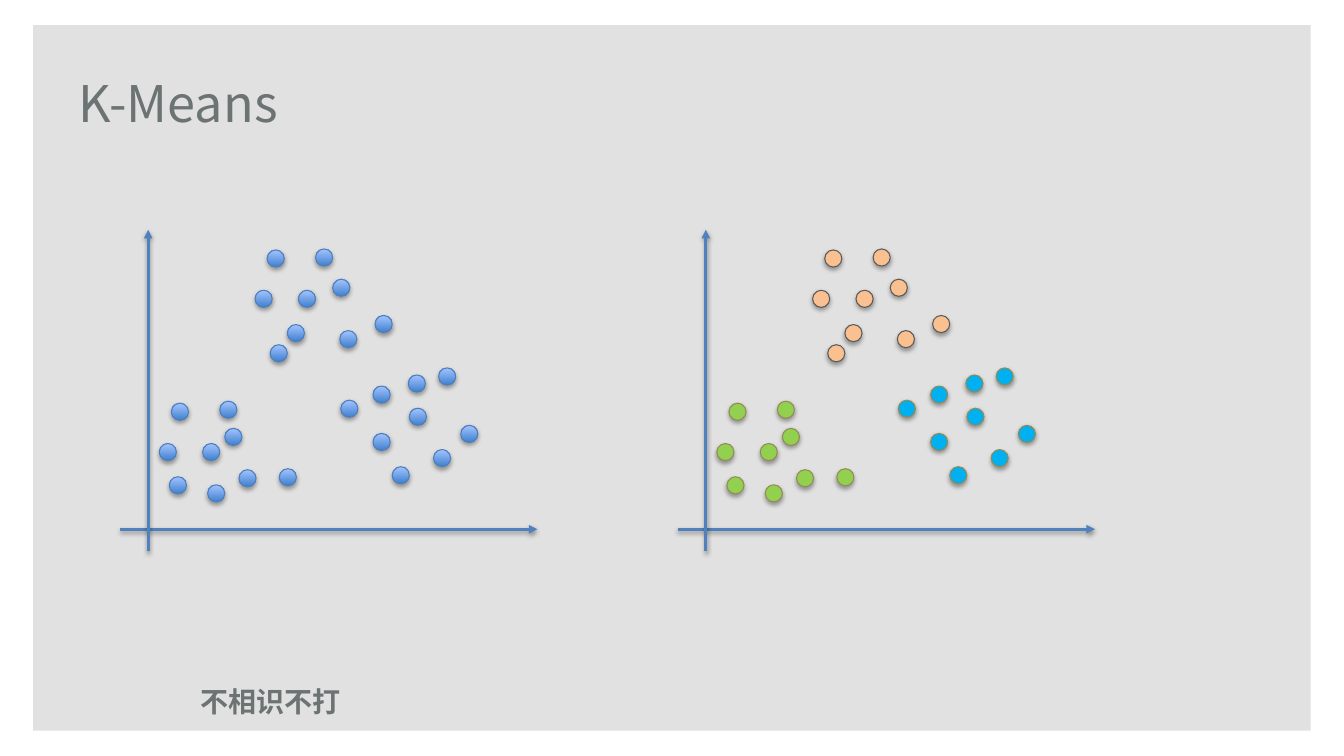
from lxml.etree import SubElement as Sub
from pptx import Presentation
from pptx.dml.color import RGBColor
from pptx.enum.shapes import MSO_CONNECTOR as Link, MSO_SHAPE as Form
from pptx.enum.text import MSO_ANCHOR as Anchor
from pptx.oxml.ns import qn
from pptx.util import Pt

PX = 9144  # EMU, 100 px to the inch
DOT = 17
FONT = "Noto Sans CJK SC"

PANEL = RGBColor(0xE1, 0xE1, 0xE1)
INK = RGBColor(0x6C, 0x73, 0x73)
AXIS = RGBColor(0x4F, 0x81, 0xBD)
DEEP = RGBColor(0x3F, 0x80, 0xCE)
PALE = RGBColor(0xA4, 0xC4, 0xFF)
RIM = RGBColor(0x4B, 0x7E, 0xBC)
PEACH = RGBColor(0xFA, 0xC0, 0x90)
GREY = RGBColor(0x59, 0x59, 0x59)
GREEN = RGBColor(0x92, 0xD0, 0x50)
OLIVE = RGBColor(0x94, 0x8A, 0x54)
SKY = RGBColor(0x00, 0xB0, 0xF0)

# Dots of each cluster, from the left end of the x axis and the slide top
TOP = [(134, 288), (166, 322), (149, 342), (146, 248), (177, 288),
       (194, 247), (211, 277), (218, 328), (253, 313)]
LEFT = [(39, 440), (49, 473), (87, 481), (51, 400), (82, 440),
        (99, 398), (104, 425), (118, 466), (158, 465)]
RIGHT = [(219, 397), (251, 430), (270, 463), (251, 383), (287, 405),
         (316, 365), (286, 372), (311, 446), (338, 422)]

BLUE = ((DEEP, PALE), RIM)
BEFORE = [(TOP, BLUE), (LEFT, BLUE), (RIGHT, BLUE)]
AFTER = [(TOP, ((PEACH,), GREY)), (LEFT, ((GREEN,), OLIVE)),
         (RIGHT, ((SKY,), OLIVE))]


def scale(*sizes):
    return [size * PX for size in sizes]


def style(item, form):
    for name, value in form.items():
        setattr(item, name, value)


def shade(item, drop, alpha):
    """Give the item a soft shadow straight below; call after its line is set."""
    effect = Sub(item._element.spPr, qn("a:effectLst"))
    shadow = Sub(effect, qn("a:outerShdw"), blurRad="40000", dist=str(drop),
                 dir="5400000", rotWithShape="0")
    color = Sub(shadow, qn("a:srgbClr"), val="000000")
    Sub(color, qn("a:alpha"), val=str(alpha * 1000))


def add_panel(slide):
    panel = slide.shapes.add_shape(Form.RECTANGLE, *scale(33, 25, 1267, 700))
    panel.shadow.inherit = False
    panel.fill.solid()
    panel.fill.fore_color.rgb = PANEL
    panel.line.fill.background()


def add_text(slide, text, box, form):
    frame = slide.shapes.add_textbox(*scale(*box)).text_frame
    style(frame, {"word_wrap": True, "vertical_anchor": Anchor.MIDDLE})
    run = frame.paragraphs[0].add_run()
    run.text = text
    style(run.font, {"name": FONT, **form})
    run.font.color.rgb = INK
    Sub(run.font._element, qn("a:ea"), typeface=FONT)


def add_axis(slide, start, end):
    axis = slide.shapes.add_connector(Link.STRAIGHT, *scale(*start, *end))
    axis.line.color.rgb = AXIS
    axis.line.width = Pt(2)
    Sub(axis._element.spPr.find(qn("a:ln")), qn("a:tailEnd"), type="triangle")
    shade(axis, 20000, 38)


def add_dot(slide, x, y, tones, rim):
    """Draw one data point; two tones make a gradient from bottom to top."""
    dot = slide.shapes.add_shape(Form.OVAL, *scale(x, y, DOT, DOT))
    if len(tones) == 1:
        dot.fill.solid()
        dot.fill.fore_color.rgb = tones[0]
    else:
        dot.fill.gradient()
        dot.fill.gradient_angle = 90
        for stop, tone in zip(dot.fill.gradient_stops, tones):
            stop.color.rgb = tone
    dot.line.color.rgb = rim
    dot.line.width = Pt(0.75)
    shade(dot, 23000, 35)


def add_plot(slide, left, groups):
    add_axis(slide, (left, 525), (left + 414, 525))
    add_axis(slide, (left + 28, 547), (left + 28, 228))
    for dots, (tones, rim) in groups:
        for x, y in dots:
            add_dot(slide, left + x, y, tones, rim)


def main():
    deck = Presentation()
    style(deck, {"slide_width": 1333 * PX, "slide_height": 750 * PX})
    slide = deck.slides.add_slide(deck.slide_layouts[6])
    add_panel(slide)
    add_text(slide, "不相识不打", (189, 662, 203, 67),
             {"size": Pt(20), "bold": True})
    add_text(slide, "K-Means", (68, 48, 1055, 107), {"size": Pt(36)})
    add_plot(slide, 672, AFTER)
    add_plot(slide, 119, BEFORE)
    deck.save("out.pptx")


if __name__ == "__main__":
    main()
